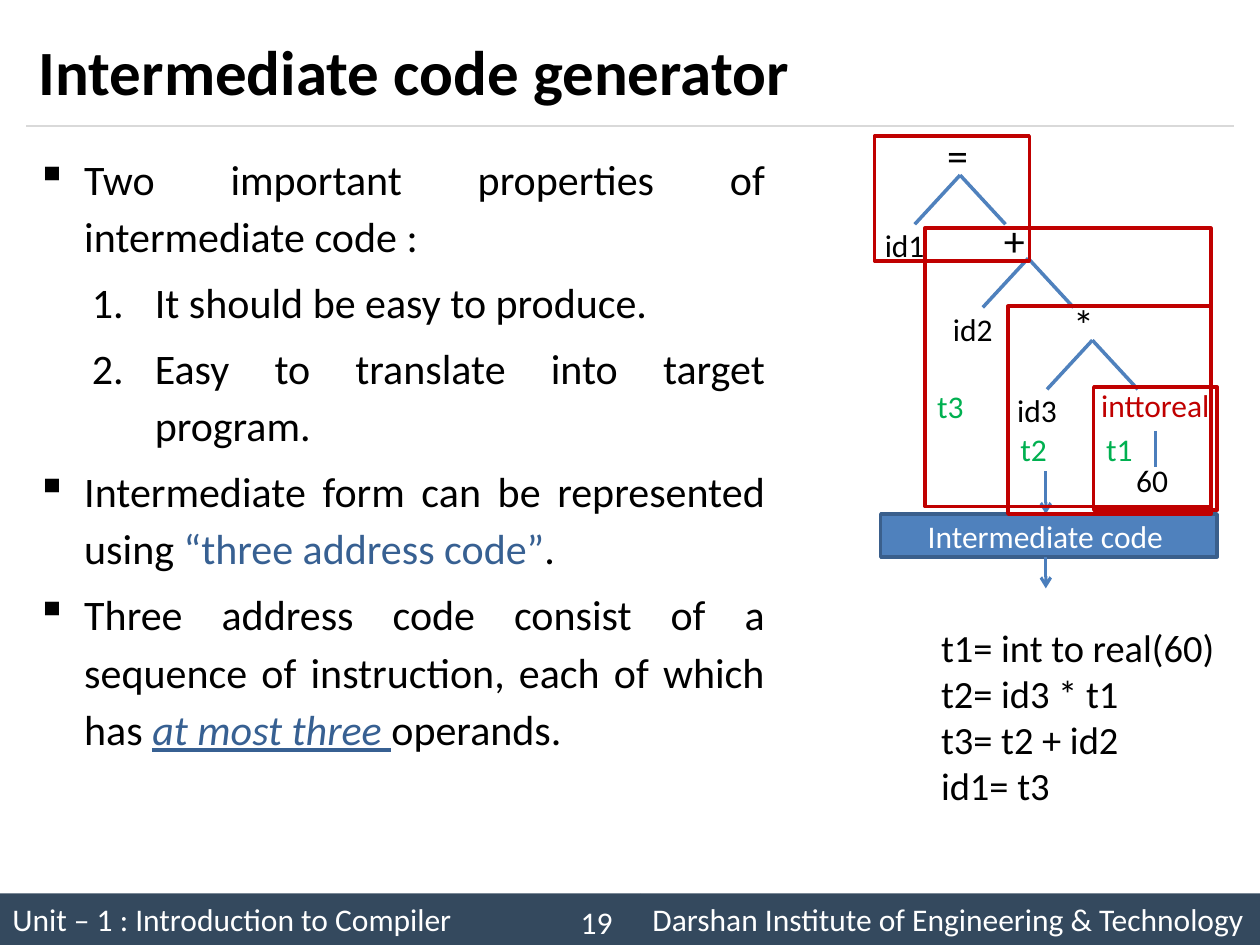
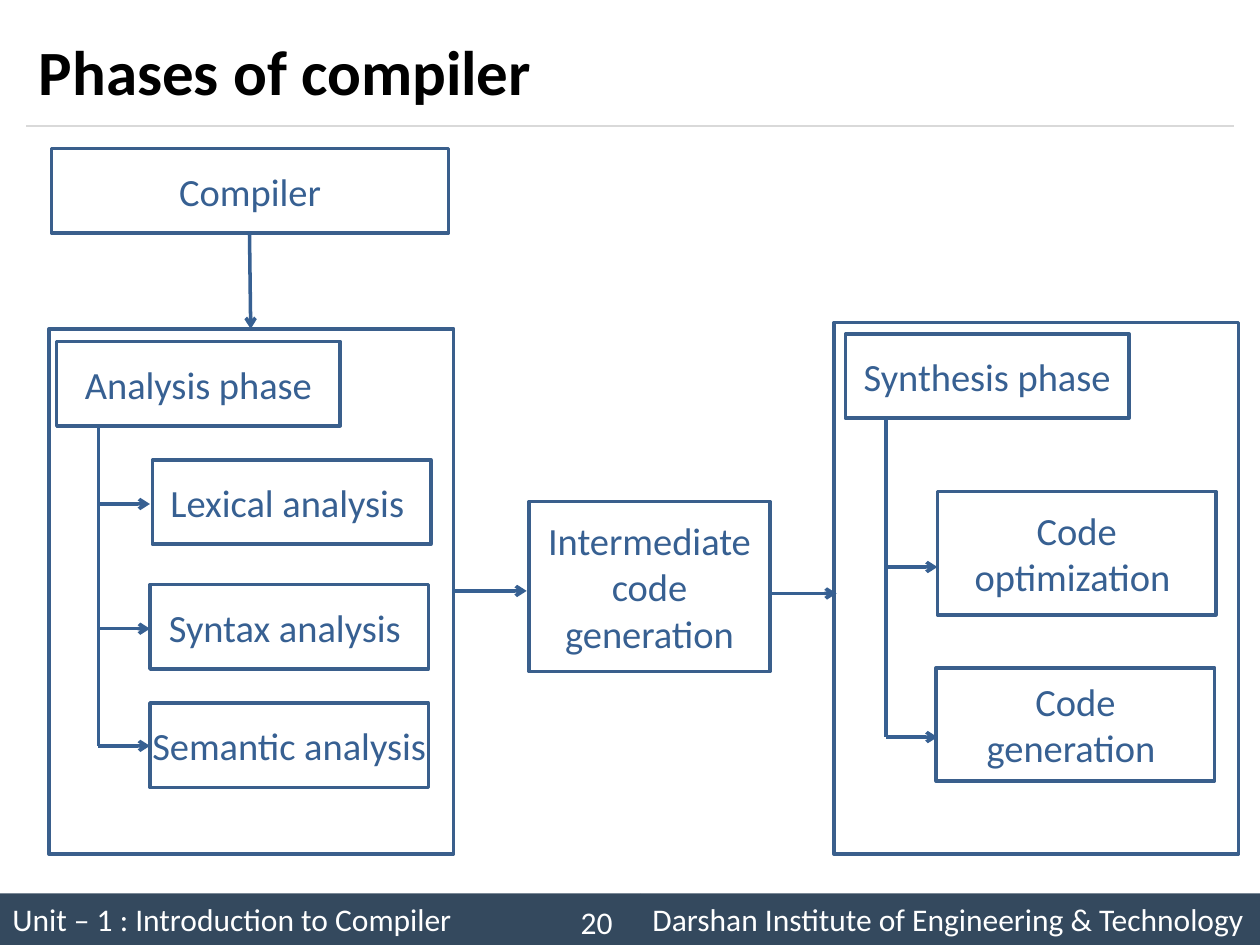
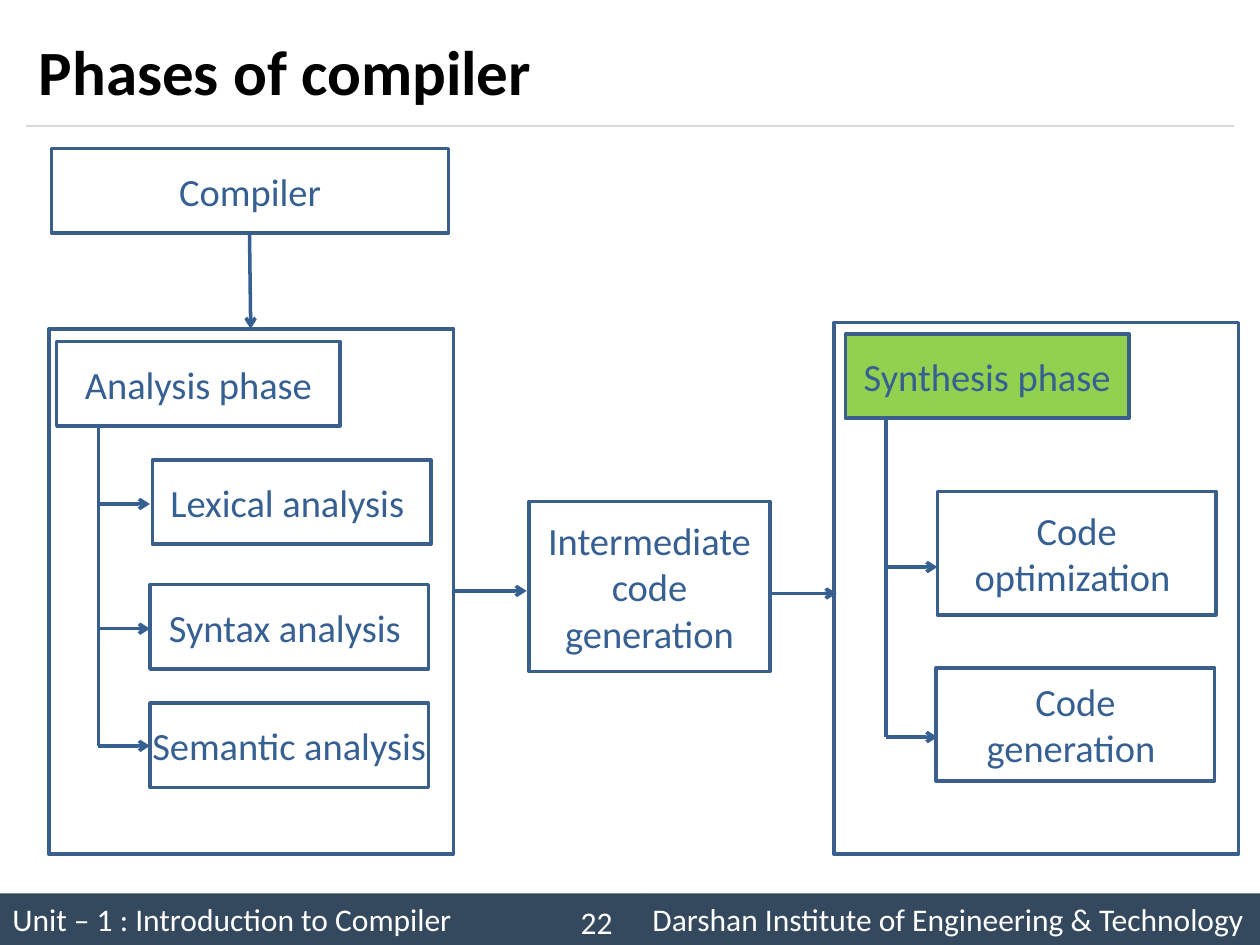
"""Build three compiler slides: intermediate code generation and the compiler phases."""
from dataclasses import dataclass

from lxml.etree import SubElement
from pptx import Presentation
from pptx.dml.color import RGBColor
from pptx.enum.shapes import MSO_CONNECTOR as Connector, MSO_SHAPE as Preset
from pptx.enum.text import MSO_ANCHOR as Anchor, PP_ALIGN as Align
from pptx.oxml.ns import qn
from pptx.util import Pt

PX = 9144


@dataclass(frozen=True)
class Theme:
    font: str = "Calibri"
    ink: str = "000000"
    paper: str = "FFFFFF"
    rule: str = "D9D9D9"
    footer: str = "34495E"
    accent: str = "4F81BD"
    branch: str = "4B7EBC"
    border: str = "3A5F8C"
    label: str = "376092"
    red: str = "C00000"
    green: str = "00B050"
    highlight: str = "92D050"
    title_size: int = 36
    body_size: int = 24
    box_size: int = 22
    small_size: int = 18


theme = Theme()


def write(slide, at, text="", size=theme.small_size, color=theme.ink, bold=False,
          align=Align.LEFT, anchor=Anchor.MIDDLE, inset=(10, 5, 10, 5),
          fill=None, line=None, bullets=None, spacing=None, before=0):
    """Place text, framed when a fill or line is given; paragraphs are strings or run lists."""
    place = [v * PX for v in at]
    if fill or line:
        box = slide.shapes.add_shape(Preset.RECTANGLE, *place)
        box.shadow.inherit = False
    else:
        box = slide.shapes.add_textbox(*place)
    if fill:
        box.fill.solid()
        box.fill.fore_color.rgb = RGBColor.from_string(fill)
    else:
        box.fill.background()
    if line:
        box.line.color.rgb = RGBColor.from_string(line)
        box.line.width = Pt(2)
    else:
        box.line.fill.background()
    frame = box.text_frame
    frame.word_wrap = True
    frame.vertical_anchor = anchor
    frame.margin_left, frame.margin_top, frame.margin_right, frame.margin_bottom = [
        v * PX for v in inset]
    for index, content in enumerate([text] if isinstance(text, str) else text):
        paragraph = frame.add_paragraph() if index else frame.paragraphs[0]
        if bullets:
            mark = bullets[index]
            margin, hang = (38, 38) if mark == "▪" else (94, 50)
            props = paragraph._p.get_or_add_pPr()
            props.set("marL", str(margin * PX))
            props.set("indent", str(-hang * PX))
            if mark == "▪":
                SubElement(props, qn("a:buChar")).set("char", mark)
            else:
                SubElement(props, qn("a:buAutoNum")).set("type", "arabicPeriod")
        paragraph.alignment = align
        if spacing:
            paragraph.line_spacing = spacing
        if index and before:
            paragraph.space_before = Pt(before)
        for words, tint, emphasis in [(content, color, False)] if isinstance(content, str) else content:
            run = paragraph.add_run()
            run.text = words
            run.font.name = theme.font
            run.font.size = Pt(size)
            run.font.bold = bold
            run.font.italic = run.font.underline = emphasis
            run.font.color.rgb = RGBColor.from_string(tint)


def link(slide, start, end, color=theme.label, width=2, arrow=False):
    """Draw a straight line, optionally with an arrowhead at its end."""
    connector = slide.shapes.add_connector(Connector.STRAIGHT, *[v * PX for v in (*start, *end)])
    connector.line.color.rgb = RGBColor.from_string(color)
    connector.line.width = Pt(width)
    if arrow:
        SubElement(connector.line._get_or_add_ln(), qn("a:tailEnd")).set("type", "arrow")
    SubElement(connector._element.spPr, qn("a:effectLst"))


deck = Presentation()
deck.slide_width, deck.slide_height = 1000 * PX, 750 * PX

pages = []
for heading, number in [("Intermediate code generator", "19"),
                        ("Phases of compiler", "20"),
                        ("Phases of compiler", "22")]:
    page = deck.slides.add_slide(deck.slide_layouts[6])
    link(page, (21, 100), (979, 100), color=theme.rule, width=0.75)
    write(page, (0, 709, 508, 41), "Unit – 1 : Introduction to Compiler",
          color=theme.paper, fill=theme.footer)
    write(page, (508, 709, 492, 41), "Darshan Institute of Engineering & Technology",
          color=theme.paper, fill=theme.footer)
    write(page, (439, 712, 69, 40), number, color=theme.paper, align=Align.CENTER)
    write(page, (21, 12, 958, 88), heading, size=theme.title_size, bold=True)
    pages.append(page)

generator, *phase_pages = pages

write(generator, (19, 111, 598, 589), [
    "Two important properties of intermediate code : ",
    "It should be easy to produce.",
    "Easy to translate into target program.",
    [("Intermediate form can be represented using ", theme.ink, False),
     ("“three address code”", theme.label, False),
     (".", theme.ink, False)],
    [("Three address code consist of a sequence of instruction, each of which has ", theme.ink, False),
     ("at most three ", theme.label, True),
     ("operands.", theme.ink, False)],
], size=theme.body_size, align=Align.JUSTIFY, anchor=Anchor.TOP,
    bullets=["▪", "1.", "1.", "▪", "▪"], spacing=1.14, before=4.8)

for operator, at in [("=", (735, 102, 50, 42)), ("+", (767, 169, 76, 42)), ("*", (822, 236, 76, 42))]:
    write(generator, at, operator, size=theme.body_size, align=Align.CENTER)
for operand, at, tint in [("id1", (680, 173, 76, 42), theme.ink),
                          ("id2", (734, 240, 76, 42), theme.ink),
                          ("id3", (785, 304, 76, 42), theme.ink),
                          ("inttoreal", (852, 300, 130, 42), theme.red),
                          ("60", (853, 360, 123, 42), theme.ink)]:
    write(generator, at, operand, color=tint, align=Align.CENTER)
for x, y in [(762, 139), (816, 205), (867, 270)]:
    for reach in (-36, 36):
        link(generator, (x, y), (x + reach, y + 39), color=theme.accent)
link(generator, (917, 342), (917, 371), color=theme.branch)

write(generator, (699, 408, 267, 34), "Intermediate code ", color=theme.paper,
      align=Align.CENTER, fill=theme.accent, line=theme.border)
for top, bottom in [(374, 408), (442, 467)]:
    link(generator, (830, top), (830, bottom), color=theme.branch, width=1.75, arrow=True)
write(generator, (737, 490, 245, 219),
      ["t1= int to real(60)", "t2= id3 * t1", "t3= t2 + id2", "id1= t3"],
      size=theme.box_size, anchor=Anchor.TOP)
for temporary, at, drop in [("t1", (868, 307, 98, 98), 5),
                            ("t2", (800, 243, 161, 165), 66),
                            ("t3", (734, 181, 227, 221), 66),
                            ("", (694, 108, 123, 99), 5)]:
    write(generator, at, temporary, color=theme.green, line=theme.red, inset=(10, drop, 10, 5))

for page, synthesis_fill in zip(phase_pages, (None, theme.highlight)):
    for phase, at, fill, side in [
        ("", (662, 256, 321, 422), None, 10),
        ("", (39, 261, 321, 417), None, 10),
        ("Compiler", (41, 118, 315, 67), None, 10),
        ("Analysis phase", (45, 271, 225, 67), None, 10),
        ("Synthesis phase", (671, 265, 225, 67), synthesis_fill, 10),
        ("Lexical analysis ", (121, 365, 221, 67), None, 10),
        ("Syntax analysis ", (119, 464, 221, 67), None, 10),
        ("Semantic analysis ", (119, 558, 221, 67), None, 0),
        ("Intermediate code generation", (420, 398, 191, 135), None, 10),
        ("Code optimization ", (744, 390, 221, 98), None, 10),
        ("Code generation ", (743, 530, 221, 90), None, 10),
    ]:
        write(page, at, phase, size=theme.box_size, color=theme.label, align=Align.CENTER,
              inset=(side, 5, side, 5), fill=fill, line=theme.border)
    for spine, top, tip, rows in [(78, 339, 119, (400, 499, 592)), (703, 332, 744, (450, 585))]:
        link(page, (spine, top), (spine, rows[-1]))
        for row in rows:
            link(page, (spine, row), (tip, row), arrow=True)
    for start, end in [((198, 184), (199, 261)), ((359, 469), (418, 469)), ((611, 471), (664, 471))]:
        link(page, start, end, arrow=True)

deck.save("out.pptx")
